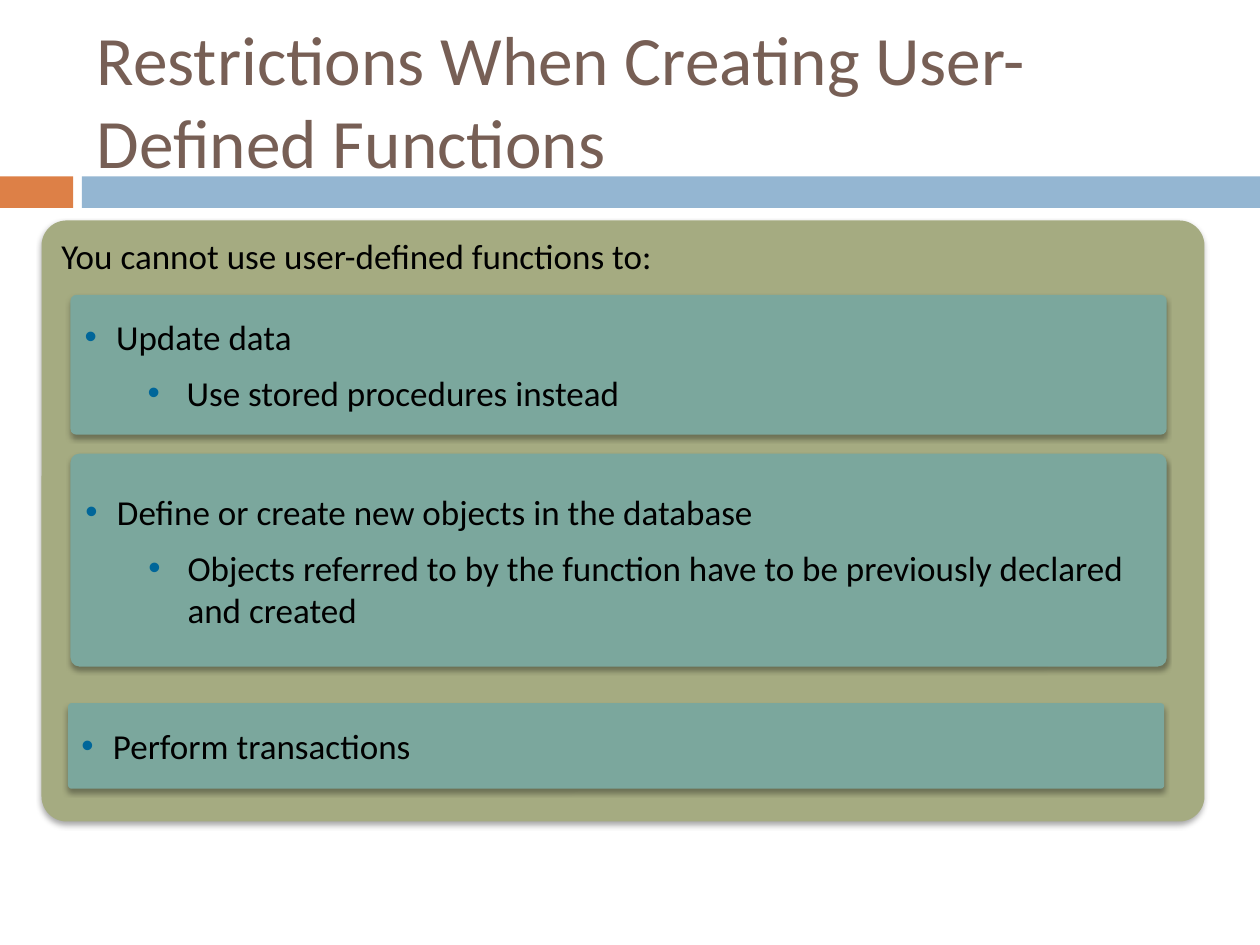
import pptx
import pptx.dml.color
import pptx.enum.shapes
import pptx.enum.text
import pptx.oxml
import pptx.oxml.ns
import pptx.util
from pptx.util import Inches

COLORS = {
    "title": "775F55",
    "text": "000000",
    "accent": "DD8047",
    "band": "94B6D2",
    "panel": "A5AB81",
    "card": "7BA79D",
    "bullet": "006699",
    "shadow": "000000",
}
SHAPES = pptx.enum.shapes.MSO_SHAPE
ANCHORS = pptx.enum.text.MSO_ANCHOR
NS = pptx.oxml.ns.nsdecls("a")


def rgb(name):
    return pptx.dml.color.RGBColor.from_string(COLORS[name])


class Deck:
    font = "Calibri"
    body_size = 20
    title_size = 39.6
    corner = 0.042
    indents = [(0.25, -0.25), (0.81, -0.31)]

    def __init__(self, prs):
        self.s = prs.slides.add_slide(prs.slide_layouts[6])

    def run(self, p, text, size, color):
        p.alignment = pptx.enum.text.PP_ALIGN.LEFT
        r = p.add_run()
        r.text = text
        r.font.name = self.font
        r.font.size = pptx.util.Pt(size)
        r.font.color.rgb = rgb(color)

    def title(self, text, x, y, w, h):
        tf = self.s.shapes.add_textbox(
            Inches(x), Inches(y), Inches(w), Inches(h)).text_frame
        tf.word_wrap = True
        tf.vertical_anchor = ANCHORS.MIDDLE
        self.run(tf.paragraphs[0], text, self.title_size, "title")

    def block(self, kind, color, x, y, w, h):
        sp = self.s.shapes.add_shape(
            kind, Inches(x), Inches(y), Inches(w), Inches(h))
        sp.fill.solid()
        sp.fill.fore_color.rgb = rgb(color)
        sp.line.fill.background()
        sp.shadow.inherit = False
        return sp

    def rounded(self, color, x, y, w, h):
        sp = self.block(SHAPES.ROUNDED_RECTANGLE, color, x, y, w, h)
        sp.adjustments[0] = self.corner
        effects = sp._element.spPr.find(pptx.oxml.ns.qn("a:effectLst"))
        effects.append(pptx.oxml.parse_xml(
            f'<a:outerShdw {NS} blurRad="{pptx.util.Pt(3)}" '
            f'dist="{pptx.util.Pt(2)}" dir="5400000" rotWithShape="0">'
            f'<a:srgbClr val="{COLORS["shadow"]}"><a:alpha val="35000"/>'
            '</a:srgbClr></a:outerShdw>'))
        sp.text_frame.word_wrap = True
        return sp

    def panel(self, text, x, y, w, h):
        tf = self.rounded("panel", x, y, w, h).text_frame
        tf.vertical_anchor = ANCHORS.TOP
        self.run(tf.paragraphs[0], text, self.body_size, "text")

    def bullet(self, p, text, level):
        p.level = level
        p.space_before = pptx.util.Pt(0.4 * self.body_size)
        self.run(p, text, self.body_size, "text")
        pPr = p._p.get_or_add_pPr()
        margin, indent = self.indents[level]
        pPr.set("marL", str(Inches(margin)))
        pPr.set("indent", str(Inches(indent)))
        for xml in (
            f'<a:buClr {NS}><a:srgbClr val="{COLORS["bullet"]}"/></a:buClr>',
            f'<a:buFont {NS} typeface="Arial"/>',
            f'<a:buChar {NS} char="•"/>',
        ):
            pPr.append(pptx.oxml.parse_xml(xml))

    def card(self, lines, x, y, w, h):
        tf = self.rounded("card", x, y, w, h).text_frame
        tf.vertical_anchor = ANCHORS.MIDDLE
        tf.margin_top = tf.margin_bottom = Inches(0.18)
        for level, text in enumerate(lines):
            p = tf.add_paragraph() if level else tf.paragraphs[0]
            self.bullet(p, text, level)


def main():
    prs = pptx.Presentation()
    prs.slide_width, prs.slide_height = Inches(10), Inches(7.5)
    deck = Deck(prs)
    deck.block(SHAPES.RECTANGLE, "accent", 0, 1.4, 0.58, 0.25)
    deck.block(SHAPES.RECTANGLE, "band", 0.65, 1.4, 9.35, 0.25)
    deck.title("Restrictions When Creating User-Defined Functions",
               0.67, 0.25, 8.92, 1.08)
    deck.panel("You cannot use user-defined functions to:",
               0.33, 1.75, 9.23, 4.77)
    cards = [
        (0.56, 2.34, 1.11, ["Update data", "Use stored procedures instead"]),
        (0.56, 3.6, 1.69, [
            "Define or create new objects in the database",
            "Objects referred to by the function have to be previously "
            "declared and created"]),
        (0.54, 5.58, 0.68, ["Perform transactions"]),
    ]
    for x, y, h, lines in cards:
        deck.card(lines, x, y, 8.7, h)
    prs.save("out.pptx")


if __name__ == "__main__":
    main()
